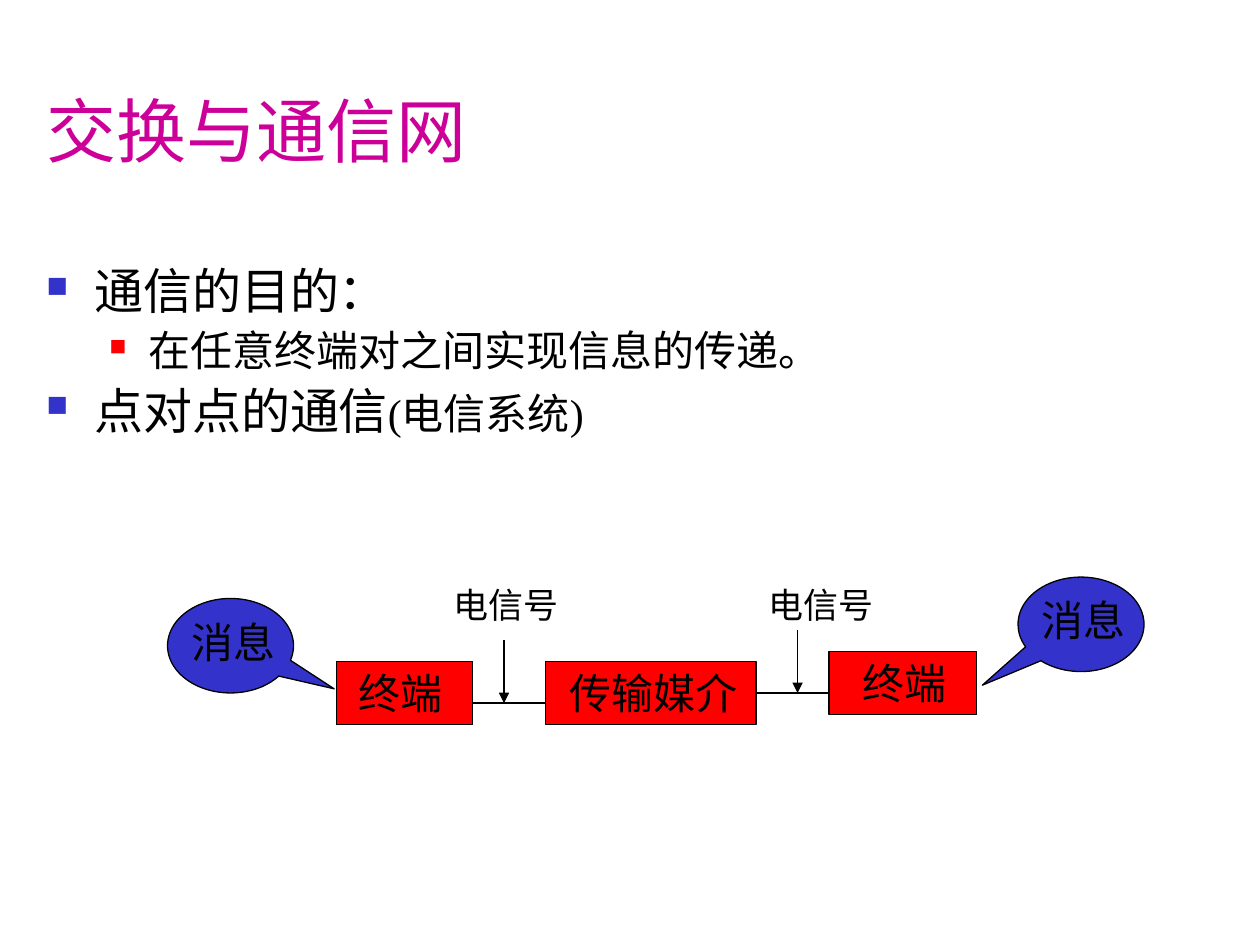
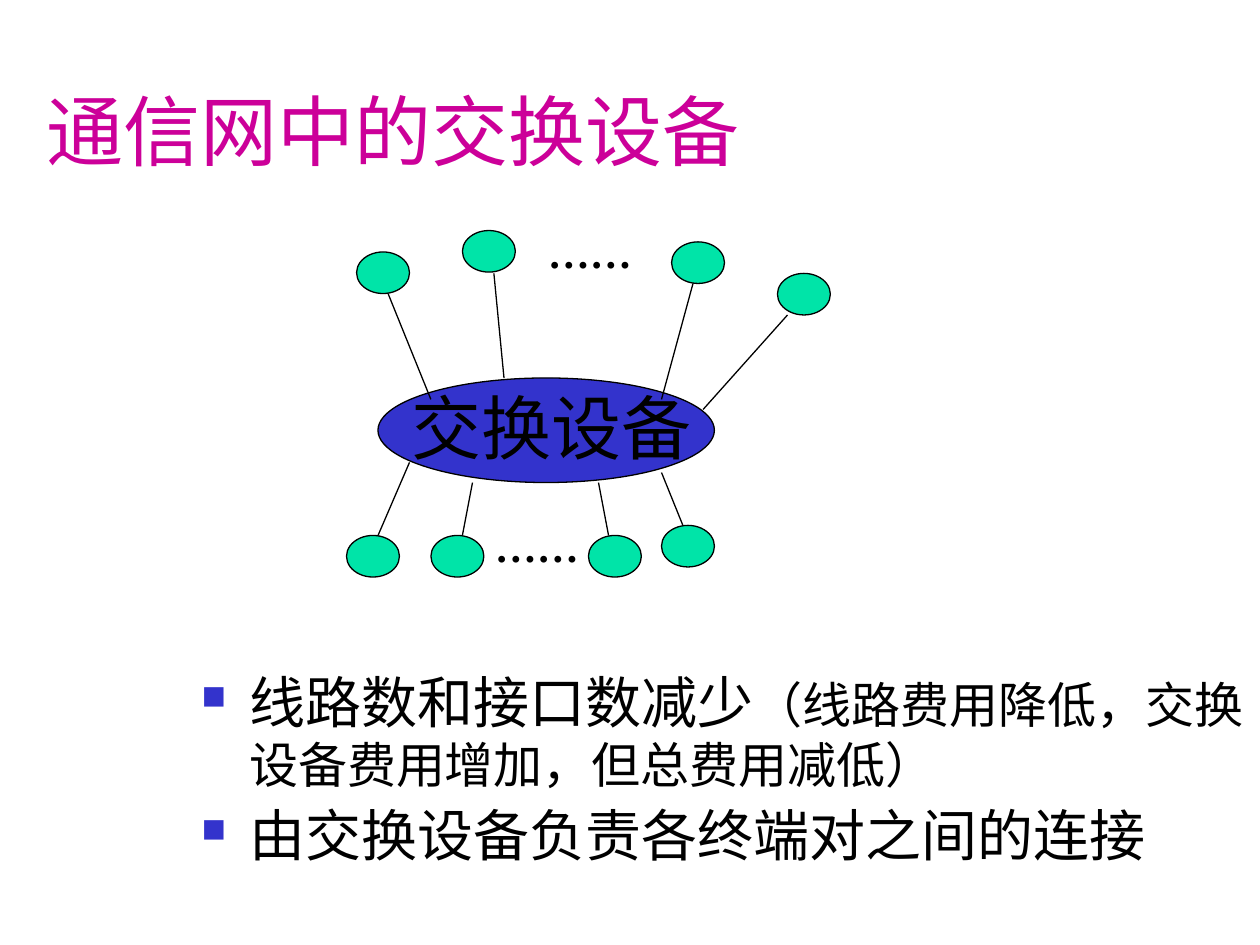
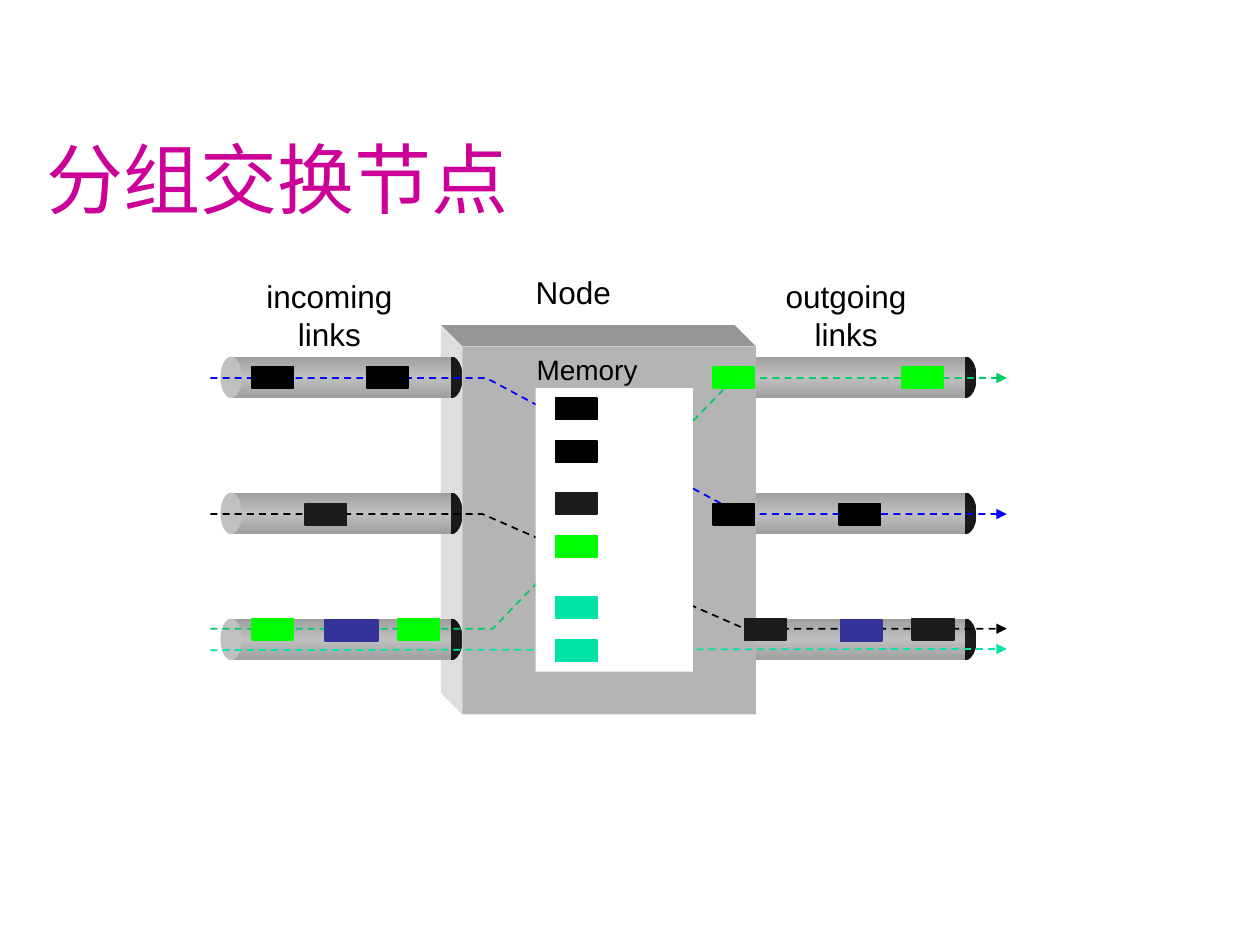
from copy import deepcopy
from dataclasses import dataclass
from typing import Any

from lxml.etree import SubElement
from pptx import Presentation
from pptx.dml.color import RGBColor
from pptx.enum.dml import MSO_LINE
from pptx.enum.shapes import MSO_CONNECTOR, MSO_SHAPE
from pptx.enum.text import MSO_ANCHOR, MSO_AUTO_SIZE, PP_ALIGN
from pptx.oxml.ns import qn
from pptx.util import Inches, Pt

BLACK = RGBColor(0x00, 0x00, 0x00)
WHITE = RGBColor(0xFF, 0xFF, 0xFF)
MAGENTA = RGBColor(0xCC, 0x00, 0x99)
BLUE = RGBColor(0x33, 0x33, 0xCC)
RED = RGBColor(0xFF, 0x00, 0x00)
MINT = RGBColor(0x00, 0xE4, 0xA8)
LIME = RGBColor(0x00, 0xFF, 0x00)
INDIGO = RGBColor(0x33, 0x33, 0x99)
CHARCOAL = RGBColor(0x1C, 0x1C, 0x1C)
PIPE_CAP = RGBColor(0x14, 0x14, 0x14)
PIPE_EDGE = RGBColor(0x9E, 0x9E, 0x9E)
SILVER = RGBColor(0xC0, 0xC0, 0xC0)
NODE_FRONT = RGBColor(0xB4, 0xB4, 0xB4)
NODE_TOP = RGBColor(0x96, 0x96, 0x96)
NODE_SIDE = RGBColor(0xDE, 0xDE, 0xDE)
GREEN_ROUTE = RGBColor(0x00, 0xCC, 0x66)
BLUE_ROUTE = RGBColor(0x00, 0x00, 0xFF)

SERIF = "Times New Roman"
SANS = "Arial"
TITLE_FONT = "Cabin"
BULLETS = [
    {"color": BLUE, "size": 60, "left": 0.38, "hanging": 0.38},
    {"color": RED, "size": 55, "left": 0.81, "hanging": 0.31},
]
NO_MARGINS = dict.fromkeys(("margin_left", "margin_top", "margin_right", "margin_bottom"), 0)


def apply_format(target, values):
    for attribute, value in values.items():
        setattr(target, attribute, value)


def add_run(paragraph, text, color=BLACK, **font_format):
    run = paragraph.add_run()
    run.text = text
    apply_format(run.font, font_format)
    run.font.color.rgb = color


def paint_line(line, color, width, dashed=False, arrow=False):
    line.color.rgb = color
    line.width = Pt(width)
    if dashed:
        line.dash_style = MSO_LINE.DASH
    if arrow:
        SubElement(line._get_or_add_ln(), qn("a:tailEnd"), type="triangle")


def paint_gradient(shape, edge, middle):
    shape.fill.gradient()
    shape.fill.gradient_angle = 90
    stops = shape._element.spPr.find(qn("a:gradFill")).find(qn("a:gsLst"))
    stops.insert(1, deepcopy(stops[0]))
    for stop, color, position in zip(shape.fill.gradient_stops, (edge, middle, edge), (0, 0.5, 1)):
        stop.color.rgb = color
        stop.position = position


@dataclass
class Region:
    shapes: Any
    left: float
    top: float

    def point(self, x, y):
        return Inches(self.left + x), Inches(self.top + y)

    def block(self, kind, x, y, width, height, fill, outline=None, weight=0.75):
        shape = self.shapes.add_shape(kind, *self.point(x, y), Inches(width), Inches(height))
        shape.shadow.inherit = False
        if isinstance(fill, RGBColor):
            shape.fill.solid()
            shape.fill.fore_color.rgb = fill
        else:
            paint_gradient(shape, *fill)
        if outline is None:
            shape.line.fill.background()
        else:
            paint_line(shape.line, outline, weight)
        return shape

    def label(self, text, x, y, width, height, size, font=SERIF, bold=False,
              align=PP_ALIGN.LEFT, **frame_format):
        frame = self.shapes.add_textbox(
            *self.point(x, y), Inches(width), Inches(height)).text_frame
        apply_format(frame, {"word_wrap": True, **frame_format})
        paragraph = frame.paragraphs[0]
        paragraph.alignment = align
        for index, line in enumerate(text.split("\n")):
            if index:
                paragraph.add_line_break()
            add_run(paragraph, line, size=Pt(size), name=font, bold=bold)

    def link(self, start, end, color=BLACK, width=0.75, **line_format):
        connector = self.shapes.add_connector(
            MSO_CONNECTOR.STRAIGHT, *self.point(*start), *self.point(*end))
        paint_line(connector.line, color, width, **line_format)
        SubElement(connector._element.spPr, qn("a:effectLst"))
        return connector

    def outline(self, points, close):
        start, *rest = [self.point(*point) for point in points]
        builder = self.shapes.build_freeform(*start)
        builder.add_line_segments(rest, close=close)
        shape = builder.convert_to_shape()
        shape.shadow.inherit = False
        return shape

    def route(self, points, color):
        path_line = self.outline(points, close=False)
        path_line.fill.background()
        paint_line(path_line.line, color, 1, dashed=True, arrow=True)

    def face(self, points, color):
        side = self.outline(points, close=True)
        side.fill.solid()
        side.fill.fore_color.rgb = color
        side.line.fill.background()


def add_titled_slide(deck, text, size, anchor=MSO_ANCHOR.MIDDLE):
    slide = deck.slides.add_slide(deck.slide_layouts[5])
    title = slide.shapes.title
    apply_format(title, {"left": Inches(0.27), "top": Inches(0.23),
                         "width": Inches(9.51), "height": Inches(1.6)})
    apply_format(title.text_frame, {"vertical_anchor": anchor, "word_wrap": True,
                                    "auto_size": MSO_AUTO_SIZE.NONE})
    paragraph = title.text_frame.paragraphs[0]
    paragraph.alignment = PP_ALIGN.LEFT
    add_run(paragraph, text, MAGENTA, size=Pt(size), name=TITLE_FONT)
    return slide


def add_bullets(slide, left, top, width, height, items, gap):
    frame = slide.shapes.add_textbox(
        Inches(left), Inches(top), Inches(width), Inches(height)).text_frame
    frame.word_wrap = True
    for index, (level, pieces) in enumerate(items):
        paragraph = frame.add_paragraph() if index else frame.paragraphs[0]
        paragraph.level = level
        style = BULLETS[level]
        properties = paragraph._p.get_or_add_pPr()
        properties.set("marL", str(Inches(style["left"])))
        properties.set("indent", str(-Inches(style["hanging"])))
        color = SubElement(properties, qn("a:buClr"))
        SubElement(color, qn("a:srgbClr"), val=str(style["color"]))
        SubElement(properties, qn("a:buSzPct"), val=str(style["size"] * 1000))
        SubElement(properties, qn("a:buChar"), char="■")
        if index:
            paragraph.space_before = Pt(gap)
        for text, size in pieces:
            add_run(paragraph, text, size=Pt(size), name=SERIF)


def draw_point_to_point(slide, left, top):
    region = Region(slide.shapes, left, top)
    stations = [
        ("终端", 1.34, 0.67, 1.08, 0.08, 1.42),
        ("传输媒介", 3, 0.67, 1.67, 0.09, 1.83),
        ("终端", 5.25, 0.59, 1.17, 0.17, 1.42),
    ]
    boxes = []
    for text, x, y, width, inset, text_width in stations:
        boxes.append(region.block(MSO_SHAPE.RECTANGLE, x, y, width, 0.5, RED, BLACK))
        region.label(text, x + inset, y, text_width, 0.5, 24)
    for x, y, pointer in [(0, 0.17, (0.823, 0.456)), (6.75, 0, (-0.783, 0.644))]:
        message = region.block(MSO_SHAPE.OVAL_CALLOUT, x, y, 1, 0.75, BLUE, BLACK)
        message.adjustments[0], message.adjustments[1] = pointer
        region.label("消息", x + 0.09, y + 0.09, 1.5, 0.5, 24)
    region.link((2.42, 1), (3, 1))
    media_link = region.link((4.67, 0.92), (5.25, 0.92))
    media_link.begin_connect(boxes[1], 3)
    for text_x, text_width, arrow_x, arrow_y in [(2.17, 1.5, 2.67, 0.5), (4.67, 1.33, 5, 0.42)]:
        region.label("电信号", text_x, 0, text_width, 0.43, 20)
        region.link((arrow_x, arrow_y), (arrow_x, arrow_y + 0.5), arrow=True)


def draw_switch_star(slide, left, top):
    region = Region(slide.shapes, left, top)
    region.block(MSO_SHAPE.OVAL, 0.25, 1.25, 2.67, 0.83, BLUE, BLACK)
    region.label("交换设备", 0.42, 1.25, 3, 0.77, 40)
    terminals = [
        ((0.08, 0.25), (0.33, 0.58), (0.67, 1.42)),
        ((0.92, 0.08), (1.17, 0.42), (1.25, 1.25)),
        ((2.58, 0.17), (2.75, 0.5), (2.5, 1.42)),
        ((3.42, 0.42), (3.5, 0.75), (2.83, 1.5)),
        ((0, 2.5), (0.25, 2.5), (0.5, 1.92)),
        ((0.67, 2.5), (0.92, 2.5), (1, 2.08)),
        ((1.92, 2.5), (2.08, 2.5), (2, 2.08)),
        ((2.5, 2.42), (2.67, 2.42), (2.5, 2)),
    ]
    for corner, line_start, line_end in terminals:
        region.block(MSO_SHAPE.OVAL, *corner, 0.42, 0.33, MINT, BLACK)
        region.link(line_start, line_end)
    for x, y, width in [(1.08, 2.33, 1.33), (1.5, 0, 1.17)]:
        region.label("……", x, y, width, 0.5, 24, bold=True)


def draw_pipes(region, x):
    for y in (2.74, 1.74, 0.66):
        region.block(MSO_SHAPE.OVAL, x + 1.75, y, 0.17, 0.33, (PIPE_CAP, CHARCOAL))
        region.block(MSO_SHAPE.RECTANGLE, x + 0.08, y, 1.75, 0.33, (PIPE_EDGE, SILVER))
        region.block(MSO_SHAPE.OVAL, x, y, 0.17, 0.33, SILVER)


def draw_node(region, x, y, width, height, depth):
    right, bottom = x + width, y + height
    region.face([(x - depth, y - depth), (right - depth, y - depth), (right, y), (x, y)],
                NODE_TOP)
    region.face([(x - depth, y - depth), (x, y), (x, bottom), (x - depth, bottom - depth)],
                NODE_SIDE)
    region.block(MSO_SHAPE.RECTANGLE, x, y, width, height, NODE_FRONT)


def draw_packets(region):
    packets = {
        BLACK: [(0.33, 0.74), (1.24, 0.74), (2.74, 0.99), (2.74, 1.33),
                (3.99, 1.83), (4.99, 1.83)],
        CHARCOAL: [(0.75, 1.83), (2.74, 1.74), (4.24, 2.74), (5.57, 2.74)],
        LIME: [(0.33, 2.74), (1.49, 2.74), (2.74, 2.08), (3.99, 0.74), (5.49, 0.74)],
        INDIGO: [(0.91, 2.75, 0.42), (5, 2.75)],
        MINT: [(2.74, 2.91), (2.74, 2.57)],
    }
    for color, places in packets.items():
        for x, y, *custom_width in places:
            width = custom_width[0] if custom_width else 0.33
            region.block(MSO_SHAPE.RECTANGLE, x, y, width, 0.17, color, color, 1)


def draw_packet_switch(slide, left, top):
    region = Region(slide.shapes.add_group_shape().shapes, left, top)
    headings = [
        ("incoming\nlinks", 0.16, 0.03, 1.57, 0.6),
        ("outgoing\nlinks", 4.28, 0.03, 1.53, 0.6),
        ("Node", 2.58, 0, 0.6, 0.3),
    ]
    centred = {"font": SANS, "align": PP_ALIGN.CENTER, "word_wrap": False}
    for text, *place in headings:
        region.label(text, *place, 18, **centred, **NO_MARGINS)
    draw_pipes(region, 4.16)
    draw_node(region, 2, 0.58, 2.33, 2.92, 0.17)
    draw_pipes(region, 0.08)
    region.link((0, 2.99), (6.32, 2.98), MINT, 1, dashed=True, arrow=True)
    routes = [
        (GREEN_ROUTE, 2.82, 2.24, 4.16, 0.83),
        (BLUE_ROUTE, 0.83, 2.19, 4.21, 1.91),
        (BLACK, 1.91, 2.16, 4.24, 2.82),
    ]
    for color, entry_y, bend_in, bend_out, exit_y in routes:
        region.route([(0, entry_y), (bend_in, entry_y), (bend_out, exit_y), (6.32, exit_y)],
                     color)
    region.block(MSO_SHAPE.RECTANGLE, 2.58, 0.91, 1.25, 2.25, WHITE)
    draw_packets(region)
    region.label("Memory", 2.49, 0.58, 1, 0.36, 16, **centred)


def main():
    deck = Presentation()
    deck.slide_width, deck.slide_height = Inches(10), Inches(7.5)

    network = add_titled_slide(deck, "交换与通信网", 40)
    add_bullets(network, 0.27, 2.02, 9.52, 1.7, [
        (0, [("通信的目的：", 28)]),
        (1, [("在任意终端对之间实现信息的传递。", 24)]),
        (0, [("点对点的通信", 28), ("(电信系统)", 24)]),
    ], 3)
    draw_point_to_point(network, 1.33, 4.58)

    switching = add_titled_slide(deck, "通信网中的交换设备", 44)
    add_bullets(switching, 1.5, 5.25, 8.5, 1.8, [
        (0, [("线路数和接口数减少", 32),
             ("（线路费用降低，交换设备费用增加，但总费用减低）", 28)]),
        (0, [("由交换设备负责各终端对之间的连接", 32)]),
    ], 4)
    draw_switch_star(switching, 2.75, 1.75)

    packet_node = add_titled_slide(deck, "分组交换节点", 44, MSO_ANCHOR.BOTTOM)
    draw_packet_switch(packet_node, 1.67, 2.17)

    deck.save("out.pptx")


if __name__ == "__main__":
    main()
